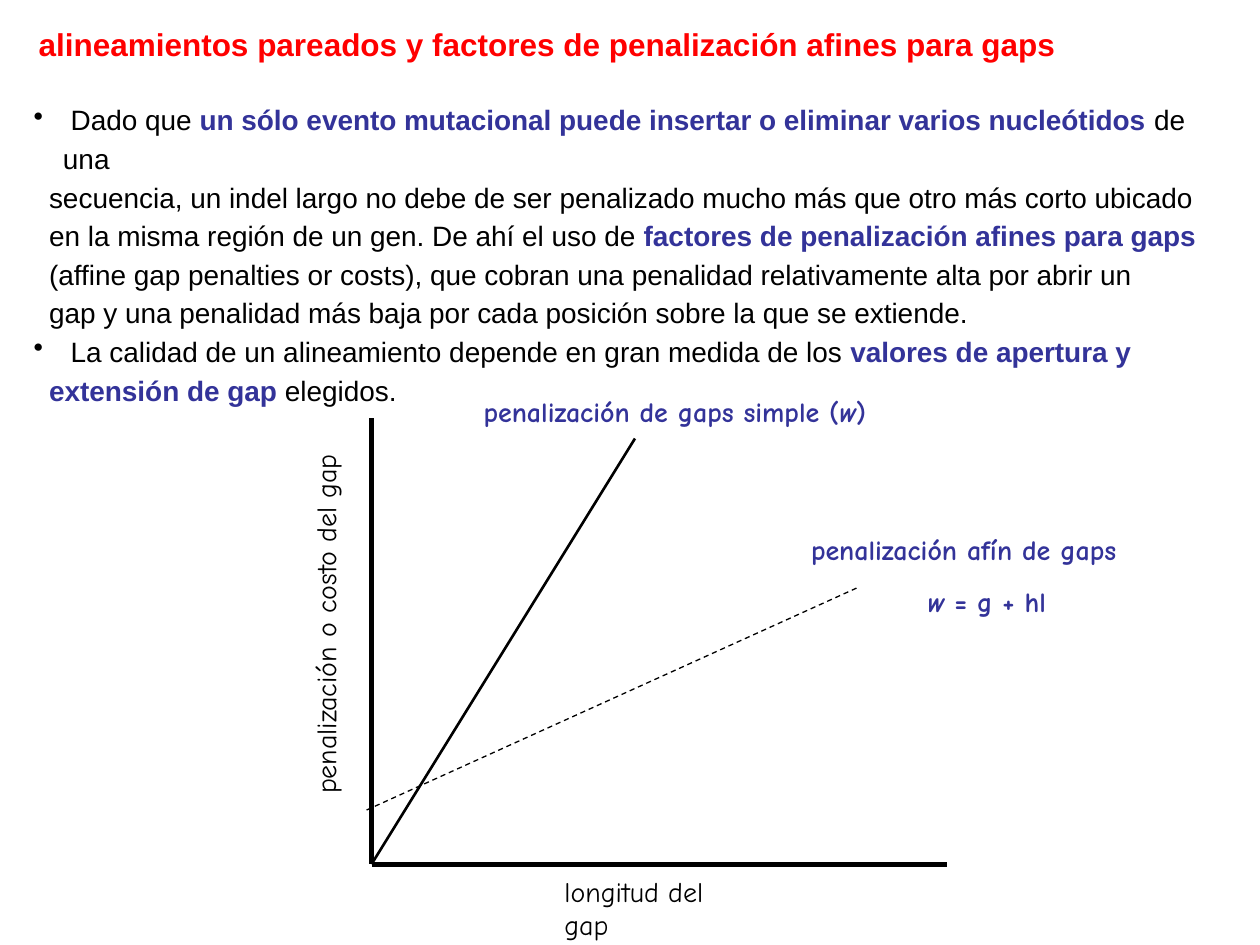
from lxml import etree
from pptx import Presentation
from pptx.dml.color import RGBColor
from pptx.enum.dml import MSO_LINE
from pptx.enum.shapes import MSO_CONNECTOR
from pptx.enum.text import MSO_AUTO_SIZE, PP_ALIGN
from pptx.oxml.ns import qn
from pptx.util import Cm, Pt

STRAIGHT = MSO_CONNECTOR.STRAIGHT
DASH = MSO_LINE.DASH
GROW = MSO_AUTO_SIZE.SHAPE_TO_FIT_TEXT
CENTER = PP_ALIGN.CENTER

COLORS = {"title": "FF0000", "text": "000000", "accent": "333399"}
BODY_FONT, CHART_FONT = "Arial", "Comic Neue"

# Body lines: (bulleted, [(text, emphasised), ...])
BODY = [
    (True, [(" Dado que ", False),
            ("un sólo evento mutacional puede insertar o eliminar varios nucleótidos", True),
            (" de una", False)]),
    (False, [("secuencia, un indel largo no debe de ser penalizado mucho más que otro más corto ubicado", False)]),
    (False, [("en la misma región de un gen. De ahí el uso de", False),
             (" factores de penalización afines para gaps", True)]),
    (False, [("(affine gap penalties or costs), que cobran una penalidad relativamente alta por abrir un", False)]),
    (False, [("gap y una penalidad más baja por cada posición sobre la que se extiende.", False)]),
    (True, [(" La calidad de un alineamiento depende en gran medida de los ", False),
            ("valores de apertura y", True)]),
    (False, [("extensión de gap", True), (" elegidos.", False)]),
]


def rgb(name):
    return RGBColor.from_string(COLORS[name])


def add_frame(slide, left, top, width, height, wrap=False, rotation=0):
    box = slide.shapes.add_textbox(Cm(left), Cm(top), Cm(width), Cm(height))
    box.rotation = rotation
    frame = box.text_frame
    frame.word_wrap = wrap
    frame.auto_size = GROW
    return frame


def style(paragraph, font, color, size=16, bold=False):
    paragraph.font.name = font
    paragraph.font.size = Pt(size)
    paragraph.font.bold = bold
    paragraph.font.color.rgb = rgb(color)


def set_indent(paragraph, margin, bulleted):
    properties = paragraph._p.get_or_add_pPr()
    properties.set("marL", str(Cm(margin)))
    properties.set("indent", str(Cm(-margin if bulleted else 0)))
    if bulleted:
        bullet = etree.Element(qn("a:buChar"), char="•")
        properties.insert_element_before(bullet, "a:tabLst", "a:defRPr", "a:extLst")


def add_label(slide, text, *place, font=CHART_FONT, color="text", size=16, bold=False, rotation=0):
    paragraph = add_frame(slide, *place, rotation=rotation).paragraphs[0]
    paragraph.text = text
    style(paragraph, font, color, size, bold)


def add_body(slide):
    frame = add_frame(slide, 0.43, 1.85, 24.56, 5.72, wrap=True)
    for number, (bulleted, parts) in enumerate(BODY):
        paragraph = frame.add_paragraph() if number else frame.paragraphs[0]
        paragraph.line_spacing = 1.15
        style(paragraph, BODY_FONT, "text")
        set_indent(paragraph, 0.59 if bulleted else 0.31, bulleted)
        for text, emphasised in parts:
            run = paragraph.add_run()
            run.text = text
            if emphasised:
                run.font.bold = True
                run.font.color.rgb = rgb("accent")


def add_curve_label(slide, lines, *place):
    """Each line is a list of (text, italic); lines after the first are centred."""
    frame = add_frame(slide, *place, wrap=True)
    for number, parts in enumerate(lines):
        paragraph = frame.add_paragraph() if number else frame.paragraphs[0]
        paragraph.space_before = Pt(10)
        style(paragraph, CHART_FONT, "accent", bold=True)
        if number:
            paragraph.alignment = CENTER
        for text, italic in parts:
            run = paragraph.add_run()
            run.text = text
            run.font.italic = italic


def add_line(slide, start, end, weight, dash=None):
    line = slide.shapes.add_connector(STRAIGHT, *map(Cm, start + end))
    line.line.color.rgb = rgb("text")
    line.line.width = Pt(weight)
    if dash is not None:
        line.line.dash_style = dash
    etree.SubElement(line._element.spPr, qn("a:effectLst"))


def main():
    prs = Presentation()
    prs.slide_width, prs.slide_height = Cm(25.4), Cm(19.05)
    slide = prs.slides.add_slide(prs.slide_layouts[6])

    # Title and explanation
    add_label(slide, "alineamientos pareados y factores de penalización afines para gaps",
              0.53, 0.38, 21.01, 1.02, font=BODY_FONT, color="title", size=18, bold=True)
    add_body(slide)

    # Axes and penalty lines
    origin = (7.49, 17.42)
    add_line(slide, (origin[0], 8.43), origin, 3)
    add_line(slide, origin, (19.1, origin[1]), 3)
    add_line(slide, origin, (12.8, 8.84), 1.5)
    add_line(slide, (7.39, 16.33), (17.3, 11.84), 0.75, DASH)

    # Axis names
    add_label(slide, "longitud del gap", 11.13, 17.5, 4.37, 0.94)
    add_label(slide, "penalización o costo del gap", 2.87, 12.09, 7.39, 0.94, rotation=270)

    # Names of the penalty lines
    add_curve_label(slide, [[("penalización afín de gaps", False)],
                            [("w", True), (" = g + hl", False)]],
                    16.1, 10.62, 7.59, 1.96)
    add_curve_label(slide, [[("penalización de gaps simple (", False), ("w", True), (")", False)]],
                    9.5, 7.82, 9.5, 0.94)

    prs.save("out.pptx")


if __name__ == "__main__":
    main()
